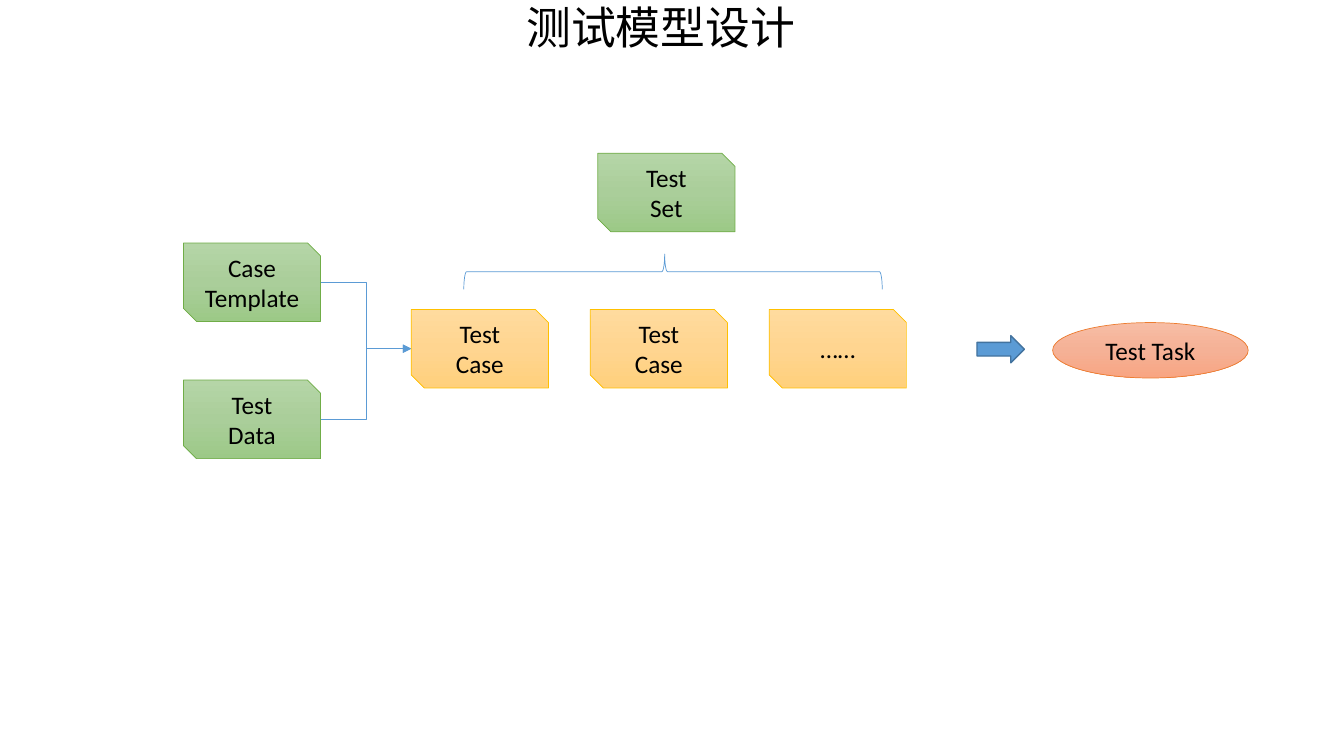
import copy

import pptx
import pptx.dml.color
import pptx.enum.shapes
import pptx.enum.text
import pptx.oxml
import pptx.oxml.ns
import pptx.util

EMU_PER_PX = 9144
SHAPES = pptx.enum.shapes.MSO_SHAPE
FONT = "Calibri"
BLACK = "000000"
BLUE = "5B9BD5"
GREEN = (("B5D5A7", "AACE9A", "9CC987"), "70AD47")
YELLOW = (("FFDB9E", "FFD590", "FFD07C"), "FFC000")
ORANGE = (("F7BDA5", "F5B196", "F8A582"), "ED7D31")
CARD_W, CARD_H = 136, 78
CASE_PITCH = 177.5


def px(length):
    return pptx.util.Emu(round(length * EMU_PER_PX))


def rgb(value):
    return pptx.dml.color.RGBColor.from_string(value)


def set_line(part, color, width=0.5):
    part.line.color.rgb = rgb(color)
    part.line.width = pptx.util.Pt(width)


def write_lines(frame, lines, size):
    frame.text = "\n".join(lines)
    for paragraph in frame.paragraphs:
        paragraph.alignment = pptx.enum.text.PP_ALIGN.CENTER
        paragraph.font.size = pptx.util.Pt(size)
        paragraph.font.name = FONT
        paragraph.font.color.rgb = rgb(BLACK)


def add_preset(slide, kind, left, top, width, height):
    preset = slide.shapes.add_shape(kind, px(left), px(top), px(width), px(height))
    preset.shadow.inherit = False
    return preset


def fill_gradient(node, colors):
    node.fill.gradient()
    node.fill.gradient_angle = 270
    stop_list = node.element.spPr.find(".//" + pptx.oxml.ns.qn("a:gsLst"))
    stop_list.insert(1, copy.deepcopy(stop_list[0]))
    for stop, position, color in zip(node.fill.gradient_stops, (0, 0.5, 1), colors):
        stop.position = position
        stop.color.rgb = rgb(color)


def add_node(slide, kind, box, lines, theme):
    node = add_preset(slide, kind, *box)
    colors, outline = theme
    fill_gradient(node, colors)
    set_line(node, outline)
    node.text_frame.vertical_anchor = pptx.enum.text.MSO_ANCHOR.MIDDLE
    write_lines(node.text_frame, lines, 18)


def add_card(slide, left, top, lines, theme):
    add_node(slide, SHAPES.SNIP_2_DIAG_RECTANGLE, (left, top, CARD_W, CARD_H), lines, theme)


def add_elbow_arrow(slide, start, end):
    arrow = slide.shapes.add_connector(
        pptx.enum.shapes.MSO_CONNECTOR.ELBOW, *map(px, start + end))
    set_line(arrow, BLUE)
    outline = arrow.line._get_or_add_ln()
    namespace = pptx.oxml.ns.nsdecls("a")
    outline.append(pptx.oxml.parse_xml(f'<a:tailEnd {namespace} type="triangle"/>'))
    arrow.element.spPr.append(pptx.oxml.parse_xml(f"<a:effectLst {namespace}/>"))


def add_title(slide, left, top, width, height):
    title = slide.shapes.add_textbox(px(left), px(top), px(width), px(height))
    title.text_frame.word_wrap = False
    title.text_frame.auto_size = pptx.enum.text.MSO_AUTO_SIZE.SHAPE_TO_FIT_TEXT
    write_lines(title.text_frame, ["测试模型设计"], 32)


def add_inputs(slide, left, top, target):
    for lines, offset in ((("Case", "Template"), 0), (("Test", "Data"), 136)):
        add_card(slide, left, top + offset, lines, GREEN)
        add_elbow_arrow(slide, (left + CARD_W, top + offset + CARD_H / 2), target)


def add_cases(slide, left, top):
    for index, lines in enumerate((("Test", "Case"), ("Test", "Case"), ("……",))):
        add_card(slide, left + index * CASE_PITCH, top, lines, YELLOW)


def add_test_set(slide, left, top, width, height):
    add_card(slide, left + 133, top, ("Test", "Set"), GREEN)
    brace_depth = 35
    center_x = left + width / 2
    center_y = top + height - brace_depth / 2
    brace = add_preset(slide, SHAPES.LEFT_BRACE, center_x - brace_depth / 2,
                       center_y - width / 2, brace_depth, width)
    brace.rotation = 90
    brace.adjustments[0] = 0.08
    brace.adjustments[1] = 0.52
    brace.fill.background()
    set_line(brace, BLUE)


def add_task(slide, left, top, width, height):
    arrow = add_preset(slide, SHAPES.RIGHT_ARROW, left, top + 13, 47, 27)
    arrow.fill.solid()
    arrow.fill.fore_color.rgb = rgb(BLUE)
    set_line(arrow, "43739E", 1)
    add_node(slide, SHAPES.OVAL, (left + 75, top, width - 75, height), ["Test Task"], ORANGE)


def main():
    deck = pptx.Presentation()
    deck.slide_width, deck.slide_height = px(1333), px(750)
    slide = deck.slides.add_slide(deck.slide_layouts[6])
    cases_left, cases_top = 408, 307
    add_title(slide, 511, -5, 289, 64)
    add_inputs(slide, 182, 241, (cases_left, cases_top + CARD_H / 2))
    add_cases(slide, cases_left, cases_top)
    add_test_set(slide, 460, 152, 415, 135)
    add_task(slide, 969, 320, 269, 55)
    deck.save("out.pptx")


if __name__ == "__main__":
    main()
